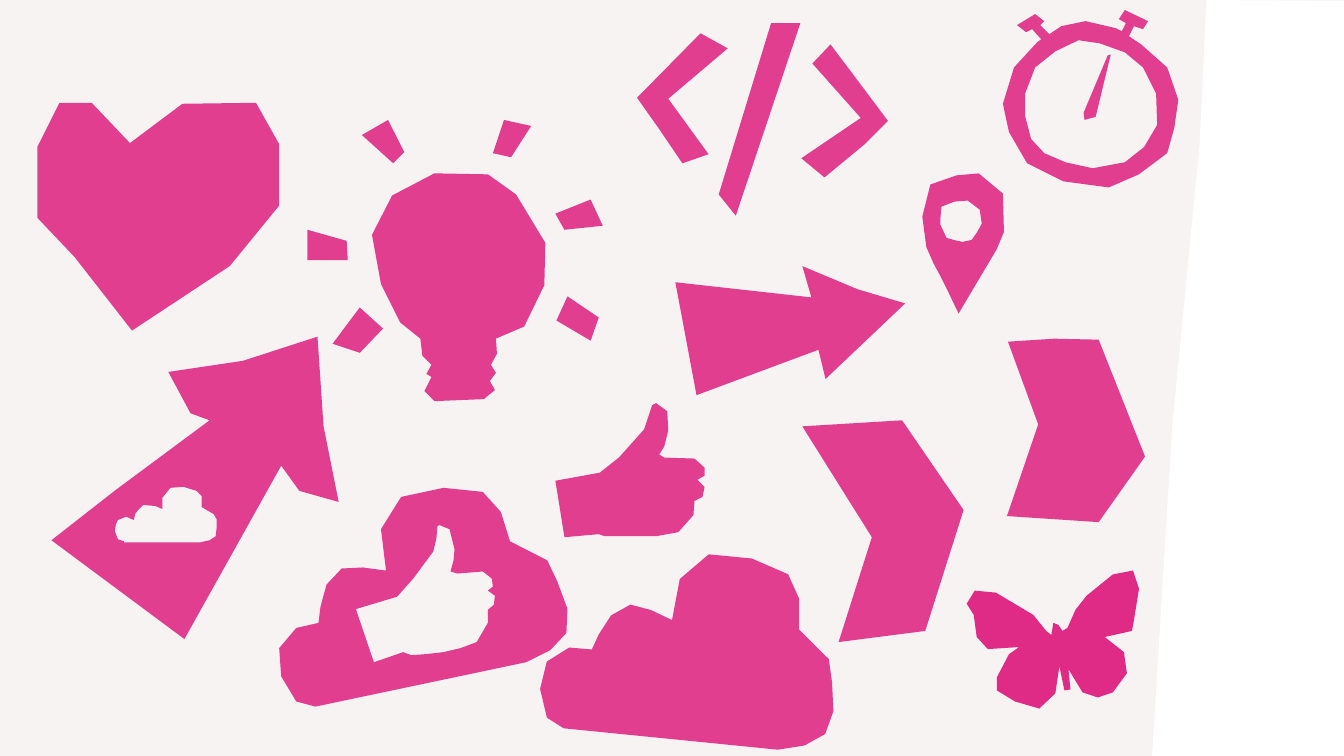
import pptx
import pptx.dml.color
import pptx.util
from lxml import etree

Pt = pptx.util.Pt
UNIT = 0.72  # points per step of the drawing grid
PINK = "E02B86"


def rgb(hex_string):
    return pptx.dml.color.RGBColor.from_string(hex_string)


class Board:
    """Holds the icon style and the current slide."""

    def __init__(self, prs, background, alpha=90):
        self.s = prs.slides.add_slide(prs.slide_layouts[6])
        self.s.background.fill.solid()
        self.s.background.fill.fore_color.rgb = rgb(background)
        self.alpha = alpha

    def outline(self, *contours, color=PINK, alpha=None):
        """Draw closed contours, given as "x,y x,y ..." on the grid, as one shape."""
        alpha = alpha or self.alpha
        first, *others = [
            [tuple(map(int, point.split(","))) for point in contour.split()]
            for contour in contours
        ]
        builder = self.s.shapes.build_freeform(*first[0], scale=Pt(UNIT))
        builder.add_line_segments(first[1:], close=True)
        for points in others:
            builder.move_to(*points[0])
            builder.add_line_segments(points[1:], close=True)
        sp = builder.convert_to_shape()
        sp.shadow.inherit = False
        sp.line.fill.background()
        sp.fill.solid()
        sp.fill.fore_color.rgb = rgb(color)
        if alpha < 100:
            ns = "{http://schemas.openxmlformats.org/drawingml/2006/main}"
            clr = sp.element.spPr.find(f"{ns}solidFill/{ns}srgbClr")
            etree.SubElement(clr, ns + "alpha").set("val", str(alpha * 1000))
        return sp

    def group(self, outlines):
        """Draw each outline as its own shape and group them."""
        return self.s.shapes.add_group_shape([self.outline(o) for o in outlines])


SIDE_PANEL = "1190,145 1197,0 1334,1 1334,751 1143,750 1163,423"
HEART = ("37,146 59,102 91,102 129,142 181,103 254,102 277,143 277,204 "
         "228,264 131,328 74,255 37,216")
BULB = [
    "359,134 385,119 401,151 390,162",
    "500,119 527,125 507,156 489,152",
    "551,212 586,198 598,224 560,228",
    "305,228 344,239 345,258 305,258",
    "357,305 380,326 357,350 330,341",
    "563,294 594,315 586,338 552,318",
    "431,172 484,173 512,193 541,241 540,283 520,324 492,336 493,351 487,362 "
    "492,370 486,378 491,387 480,396 431,398 421,388 428,374 423,371 428,362 "
    "419,353 417,336 397,320 378,282 369,233 389,194",
]
CODE = [
    "765,23 794,23 730,214 713,193",
    "806,63 824,44 881,120 858,143 818,176 795,157 854,117",
    "632,97 695,33 722,48 663,98 703,153 677,162 654,128",
]
ARROW_UP = ("315,334 321,423 336,498 297,487 279,462 183,634 51,536 115,486 "
            "208,417 189,410 167,369 241,358")
SMALL_CLOUD = ("182,483 169,484 161,494 161,505 154,502 142,501 137,506 134,510 "
               "133,516 126,513 124,513 117,516 115,520 114,527 117,535 123,537 "
               "123,538 199,538 208,536 214,532 215,523 215,515 212,510 205,506 "
               "200,503 200,492 195,487")
CLOUD = ("440,484 479,488 497,508 506,537 543,556 553,577 563,604 562,628 546,645 "
         "522,657 313,701 294,696 279,671 277,643 294,623 316,618 318,602 324,580 "
         "339,564 360,563 382,566 383,566 378,525 398,493")
THUMB_HOLE = ("436,521 434,522 433,534 430,547 410,574 394,592 354,604 353,604 "
              "371,657 400,647 408,650 422,649 440,647 457,643 473,637 484,618 "
              "484,605 490,600 491,591 484,586 489,582 488,574 479,567 454,569 "
              "447,567 450,556 451,545 446,525")
CHEVRON_LOW = "796,423 895,417 956,506 918,626 832,637 865,533"
CHEVRON_HIGH = "1030,421 1000,339 1046,336 1090,337 1136,453 1090,518 999,512"
ARROW_RIGHT = "805,295 796,264 851,287 898,301 819,376 812,347 691,392 670,280"
THUMB = ("594,530 560,533 551,477 595,469 614,454 639,426 643,414 647,402 651,400 "
         "662,408 663,427 659,443 654,451 659,454 689,455 699,464 699,472 692,476 "
         "699,483 697,493 689,497 688,511 673,528 651,532 600,532")
PIN = ("971,172 995,192 996,230 989,247 951,311 940,288 933,274 926,261 919,245 "
       "915,215 923,183 949,174")
PIN_HOLE = ("960,199 947,200 934,205 933,216 933,223 939,236 946,238 955,240 "
            "964,238 969,231 974,222 972,208")
WATCH = ("1132,44 1120,36 1125,26 1134,29 1139,21 1116,10 1110,19 1117,23 1113,31 "
         "1107,28 1077,21 1053,26 1041,34 1032,25 1036,21 1027,14 1009,25 1018,32 "
         "1024,29 1033,39 1029,42 1006,67 995,103 1001,131 1019,162 1055,180 "
         "1100,186 1130,173 1158,152 1165,127 1169,99 1158,67")
WATCH_FACE = ("1116,52 1134,67 1147,93 1148,124 1135,146 1116,161 1084,167 1057,161 "
              "1036,152 1023,138 1017,115 1017,93 1027,67 1047,51 1070,40 1091,43")
WATCH_HAND = "1087,116 1102,54 1099,55 1075,112 1076,119"
BUTTERFLY = ("967,586 988,588 1025,610 1038,626 1043,630 1045,618 1050,620 1054,626 "
             "1059,623 1067,605 1078,591 1104,570 1124,566 1130,584 1125,615 "
             "1123,626 1096,632 1115,647 1118,668 1104,687 1089,692 1074,687 "
             "1060,664 1062,684 1056,685 1051,661 1047,688 1031,703 1007,696 "
             "989,685 989,672 1001,649 1011,642 980,644 969,632 966,610 959,599")


def main():
    prs = pptx.Presentation()
    prs.slide_width, prs.slide_height = Pt(960), Pt(540)
    board = Board(prs, "F7F3F3")

    board.outline(SIDE_PANEL, color="FFFFFF", alpha=100)
    board.outline(HEART)
    board.group(BULB)
    board.group(CODE)
    board.outline(SMALL_CLOUD, ARROW_UP)
    board.outline(THUMB_HOLE, CLOUD)
    for icon in (CHEVRON_LOW, CHEVRON_HIGH, ARROW_RIGHT, THUMB):
        board.outline(icon)
    board.outline(PIN_HOLE, PIN)

    tilted_cloud = board.outline(CLOUD)
    tilted_cloud.left += Pt(274 * UNIT)
    tilted_cloud.top += Pt(59 * UNIT)
    tilted_cloud.rotation = 17.6

    board.outline(WATCH_HAND, WATCH_FACE, WATCH)
    board.outline(BUTTERFLY, alpha=100)
    prs.save("out.pptx")


if __name__ == "__main__":
    main()
